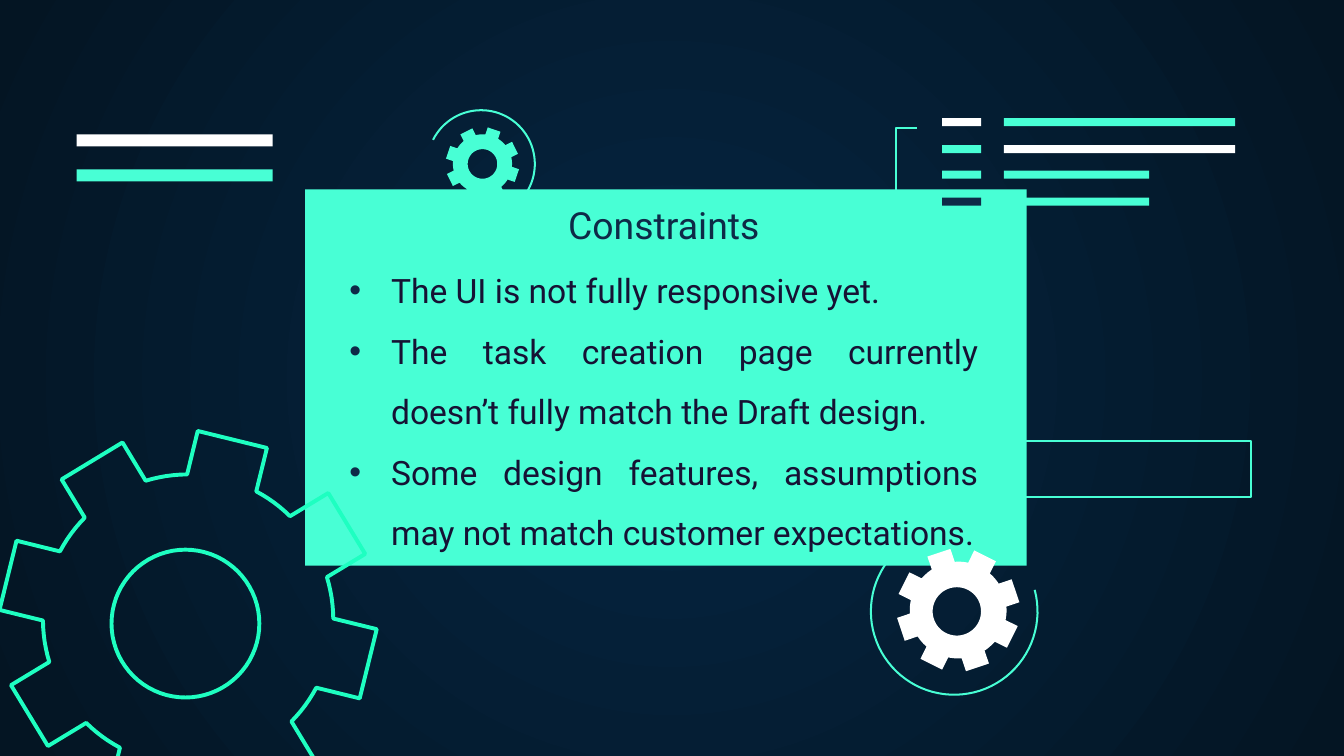
from math import asin, cos, degrees, radians, sin

from lxml import etree
from pptx import Presentation
from pptx.dml.color import RGBColor
from pptx.enum.shapes import MSO_SHAPE
from pptx.enum.text import MSO_ANCHOR, MSO_AUTO_SIZE, PP_ALIGN
from pptx.oxml.ns import qn
from pptx.util import Inches, Pt

RECTANGLE = MSO_SHAPE.RECTANGLE
TOP, BOTTOM = MSO_ANCHOR.TOP, MSO_ANCHOR.BOTTOM
CENTER, JUSTIFY = PP_ALIGN.CENTER, PP_ALIGN.JUSTIFY
NO_FIT = MSO_AUTO_SIZE.NONE

TITLE = "Constraints"
CONSTRAINTS = [
    "The UI is not fully responsive yet.",
    "The task creation page currently doesn’t fully match the Draft design.",
    "Some design features, assumptions may not match customer expectations.",
]
FONT = "Roboto"
COLORS = {
    "glow": "052643",
    "edge": "041523",
    "mint": "48FFD5",
    "outline": "1EFFC1",
    "white": "FFFFFF",
    "navy": "0E2A47",
    "body": "161234",
}
SLIDE_WIDTH = 10
SLIDE_HEIGHT = SLIDE_WIDTH * 9 / 16
THIN, THICK = 1.09, 2.1

PANEL = (2.27, 1.41, 5.37, 2.8)
CODE_ROWS = [
    (0.88, "white", 1.72, "mint"),
    (1.08, "mint", 1.72, "white"),
    (1.27, "mint", 1.08, "mint"),
    (1.47, "navy", 1.08, "mint"),
]
HEADER_BARS = [(1, "white"), (1.26, "mint")]
ARCS = [
    ((3.58, 1.22), 0.4, 206.6, 455.7),
    ((7.1, 4.55), 0.62, -15, 233.5),
]
GEARS = [
    {"center": (1.4, 4.61), "tip": 1.38, "root": 1.08, "half_tooth": 0.265, "turn": 13.8,
     "hole": (1.38, 4.64), "hole_radius": 0.55, "line": "outline"},
    {"center": (7.13, 4.54), "tip": 0.45, "root": 0.36, "half_tooth": 0.09, "turn": -18.6,
     "hole": (7.12, 4.55), "hole_radius": 0.18, "fill": "white"},
    {"center": (3.59, 1.22), "tip": 0.27, "root": 0.22, "half_tooth": 0.05, "turn": 18.7,
     "hole": (3.59, 1.22), "hole_radius": 0.11, "fill": "mint"},
]
BRACKET = [(6.83, 1.56), (6.67, 1.56), (6.67, 0.95), (6.82, 0.95)]
FRAME = (7.2, 3.28, 2.11, 0.42)


def color(name):
    return RGBColor.from_string(COLORS[name])


def style(shape, fill=None, line=None, width=THIN):
    shape.shadow.inherit = False
    if fill:
        shape.fill.solid()
        shape.fill.fore_color.rgb = color(fill)
    else:
        shape.fill.background()
    if line:
        shape.line.color.rgb = color(line)
        shape.line.width = Pt(width)
    else:
        shape.line.fill.background()


def add_bar(slide, box, fill=None, line=None):
    shape = slide.shapes.add_shape(RECTANGLE, *map(Inches, box))
    style(shape, fill, line)


def add_outline(slide, contours, closed, **look):
    contours = [[(Inches(x), Inches(y)) for x, y in contour] for contour in contours]
    builder = slide.shapes.build_freeform(*contours[0][0], scale=1.0)
    builder.add_line_segments(contours[0][1:], close=closed)
    for contour in contours[1:]:
        builder.move_to(*contour[0])
        builder.add_line_segments(contour[1:], close=closed)
    style(builder.convert_to_shape(), **look)


def arc_points(center, radius, start, end, steps):
    angles = [radians(start + (end - start) * i / steps) for i in range(steps + 1)]
    return [(center[0] + radius * cos(a), center[1] + radius * sin(a)) for a in angles]


def gear_contours(gear):
    (x, y), tip, half = gear["center"], gear["tip"], gear["half_tooth"]
    spread = degrees(asin(half / gear["root"]))
    rim = []
    for tooth in range(8):
        angle = gear["turn"] + 45 * tooth
        a = radians(angle)
        for side in (-half, half):
            rim.append((x + tip * cos(a) - side * sin(a), y + tip * sin(a) + side * cos(a)))
        rim += arc_points(gear["center"], gear["root"], angle + spread, angle + 45 - spread, 6)
    hole = arc_points(gear["hole"], gear["hole_radius"], 360, 0, 72)
    return [rim, hole[:-1]]


def paint_background(slide):
    fill = slide.background.fill
    fill.gradient()
    for stop, name in zip(fill.gradient_stops, ("glow", "edge")):
        stop.color.rgb = color(name)
    gradient = slide.element.find(".//" + qn("a:gradFill"))
    gradient.remove(gradient.find(qn("a:lin")))
    circle = etree.SubElement(gradient, qn("a:path"), path="circle")
    etree.SubElement(circle, qn("a:fillToRect"), l="50000", t="50000", r="50000", b="50000")


def add_bullet(paragraph):
    properties = paragraph._p.get_or_add_pPr()
    properties.set("marL", str(Inches(0.31)))
    properties.set("indent", str(-Inches(0.31)))
    bullet_color = etree.SubElement(properties, qn("a:buClr"))
    etree.SubElement(bullet_color, qn("a:srgbClr"), val=COLORS["navy"])
    etree.SubElement(properties, qn("a:buChar"), char="•")


def fill_placeholder(slide, placeholder, box, texts, anchor, alignment, size, ink, bulleted):
    slide.shapes._spTree.append(placeholder._element)
    placeholder.left, placeholder.top, placeholder.width, placeholder.height = map(Inches, box)
    frame = placeholder.text_frame
    frame.word_wrap = True
    frame.auto_size = NO_FIT
    frame.vertical_anchor = anchor
    frame.margin_left = frame.margin_right = frame.margin_top = frame.margin_bottom = Inches(0.1)
    for index, text in enumerate(texts):
        paragraph = frame.add_paragraph() if index else frame.paragraphs[0]
        if bulleted:
            add_bullet(paragraph)
        paragraph.alignment = alignment
        paragraph.line_spacing = 1.5 if bulleted else 1.0
        paragraph.space_before = Pt(0)
        run = paragraph.add_run()
        run.text = text
        run.font.name = FONT
        run.font.size = Pt(size)
        run.font.color.rgb = color(ink)


def main():
    presentation = Presentation()
    presentation.slide_width = Inches(SLIDE_WIDTH)
    presentation.slide_height = Inches(SLIDE_HEIGHT)
    slide = presentation.slides.add_slide(presentation.slide_layouts[0])
    paint_background(slide)

    add_bar(slide, PANEL, "mint")
    for center, radius, start, end in ARCS:
        add_outline(slide, [arc_points(center, radius, start, end, 60)], False, line="mint")
    for gear in GEARS:
        add_outline(slide, gear_contours(gear), True,
                    fill=gear.get("fill"), line=gear.get("line"), width=THICK)
    for top, marker, length, bar in CODE_ROWS:
        add_bar(slide, (7.01, top, 0.29, 0.06), marker)
        add_bar(slide, (7.47, top, length, 0.06), bar)
    add_outline(slide, [BRACKET], False, line="mint")
    for top, bar in HEADER_BARS:
        add_bar(slide, (0.57, top, 1.46, 0.09), bar)
    add_bar(slide, FRAME, line="mint")

    title, body = slide.placeholders
    fill_placeholder(slide, title, (3.01, -0.18, 3.86, 2.12), [TITLE],
                     BOTTOM, CENTER, 20, "navy", False)
    fill_placeholder(slide, body, (2.5, 1.76, 4.88, 2.26), CONSTRAINTS,
                     TOP, JUSTIFY, 18, "body", True)
    presentation.save("out.pptx")


if __name__ == "__main__":
    main()
